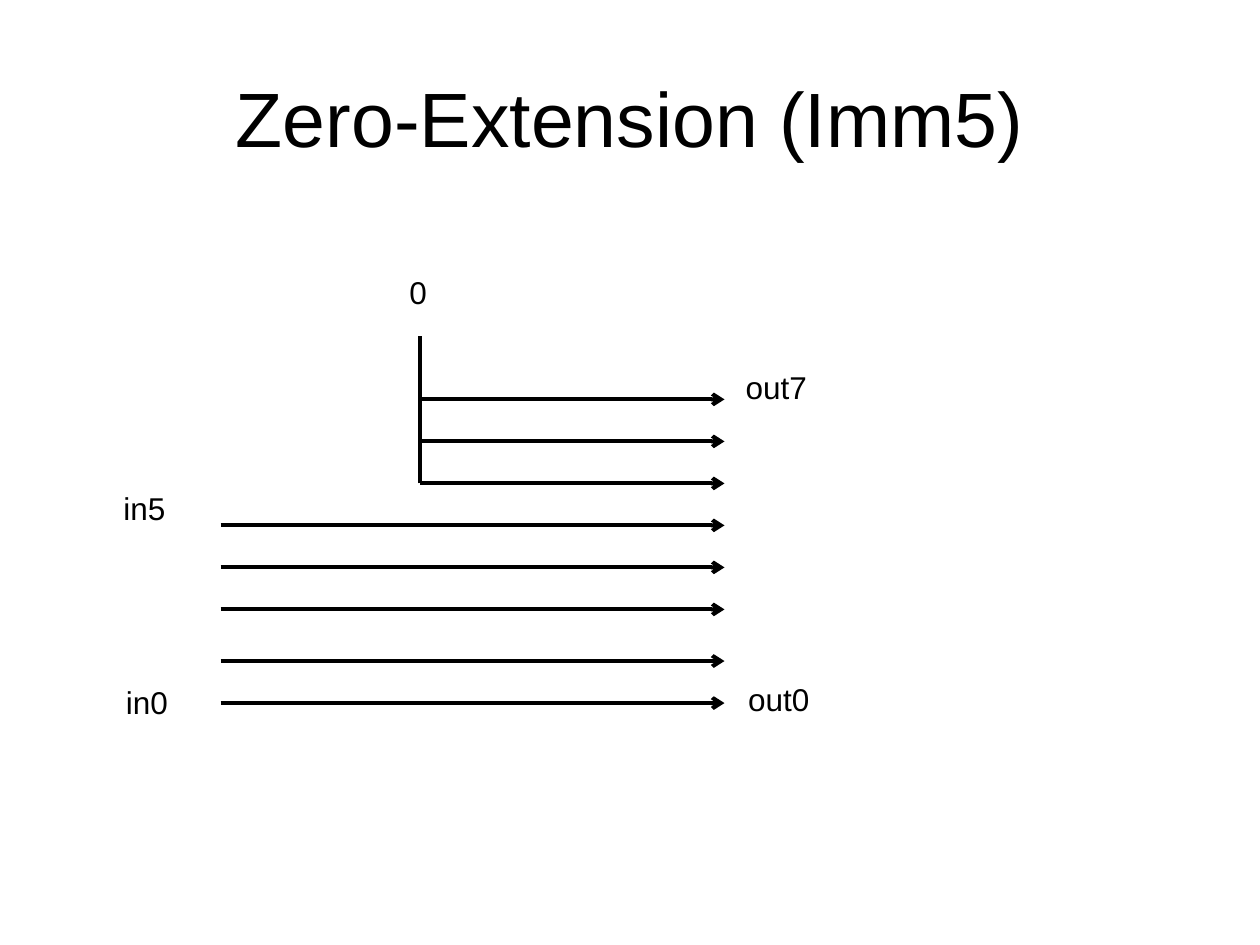
from dataclasses import dataclass

from lxml.etree import SubElement
from pptx import Presentation
from pptx.dml.color import RGBColor
from pptx.enum.shapes import MSO_CONNECTOR
from pptx.enum.text import MSO_ANCHOR, MSO_AUTO_SIZE, PP_ALIGN
from pptx.oxml.ns import qn
from pptx.util import Inches, Pt


@dataclass(frozen=True)
class Theme:
    font: str = "Arial"
    ink: RGBColor = RGBColor(0, 0, 0)
    paper: RGBColor = RGBColor(255, 255, 255)
    title_size: Pt = Pt(44)
    label_size: Pt = Pt(18)
    wire_width: Pt = Pt(2.25)


class Diagram:
    def __init__(self, slide, theme):
        self.slide = slide
        self.theme = theme
        fill = slide.background.fill
        fill.solid()
        fill.fore_color.rgb = theme.paper

    def text(self, words, left, top, width, height, size, frame_format, align):
        box = self.slide.shapes.add_textbox(
            Inches(left), Inches(top), Inches(width), Inches(height))
        for name, value in frame_format.items():
            setattr(box.text_frame, name, value)
        paragraph = box.text_frame.paragraphs[0]
        paragraph.alignment = align
        run = paragraph.add_run()
        run.text = words
        for name, value in {"name": self.theme.font, "size": size}.items():
            setattr(run.font, name, value)
        run.font.color.rgb = self.theme.ink

    def title(self, words):
        frame_format = {"word_wrap": True, "vertical_anchor": MSO_ANCHOR.MIDDLE}
        self.text(words, 0.5, 0.3, 9, 1.25, self.theme.title_size,
                  frame_format, PP_ALIGN.CENTER)

    def label(self, words, left, top, width):
        frame_format = {"word_wrap": False,
                        "auto_size": MSO_AUTO_SIZE.SHAPE_TO_FIT_TEXT}
        self.text(words, left, top, width, 0.4, self.theme.label_size,
                  frame_format, PP_ALIGN.LEFT)

    def wire(self, x1, y1, x2, y2):
        wire = self.slide.shapes.add_connector(
            MSO_CONNECTOR.STRAIGHT, Inches(x1), Inches(y1), Inches(x2), Inches(y2))
        wire.line.color.rgb = self.theme.ink
        wire.line.width = self.theme.wire_width
        SubElement(wire._element.spPr, qn("a:effectLst"))
        return wire

    def arrow(self, x1, x2, y):
        outline = self.wire(x1, y, x2, y).line._get_or_add_ln()
        SubElement(outline, qn("a:tailEnd"), type="arrow")


def main():
    presentation = Presentation()
    presentation.slide_width = Inches(10)
    presentation.slide_height = Inches(7.5)
    slide = presentation.slides.add_slide(presentation.slide_layouts[6])
    diagram = Diagram(slide, Theme())

    input_x, zero_x, output_x = 1.75, 3.33, 5.75
    pitch = 1 / 3
    out7_y, in4_y, out0_y = 3.17, 4.17, 5.58
    zero_rows = [out7_y + bit * pitch for bit in range(3)]
    input_rows = [in4_y + bit * pitch for bit in range(3)]
    input_rows += [out0_y - pitch, out0_y]

    diagram.title("Zero-Extension (Imm5)")
    for start_x, rows in ((input_x, input_rows), (zero_x, zero_rows)):
        for y in rows:
            diagram.arrow(start_x, output_x, y)
    diagram.wire(zero_x, zero_rows[-1], zero_x, 2.67)

    for words, left, top, width in (
        ("0", 3.15, 2.12, 0.34),
        ("out7", 5.82, 2.87, 0.7),
        ("out0", 5.84, 5.35, 0.7),
        ("in0", 0.9, 5.37, 0.55),
        ("in5", 0.88, 3.83, 0.55),
    ):
        diagram.label(words, left, top, width)

    presentation.save("out.pptx")


if __name__ == "__main__":
    main()
